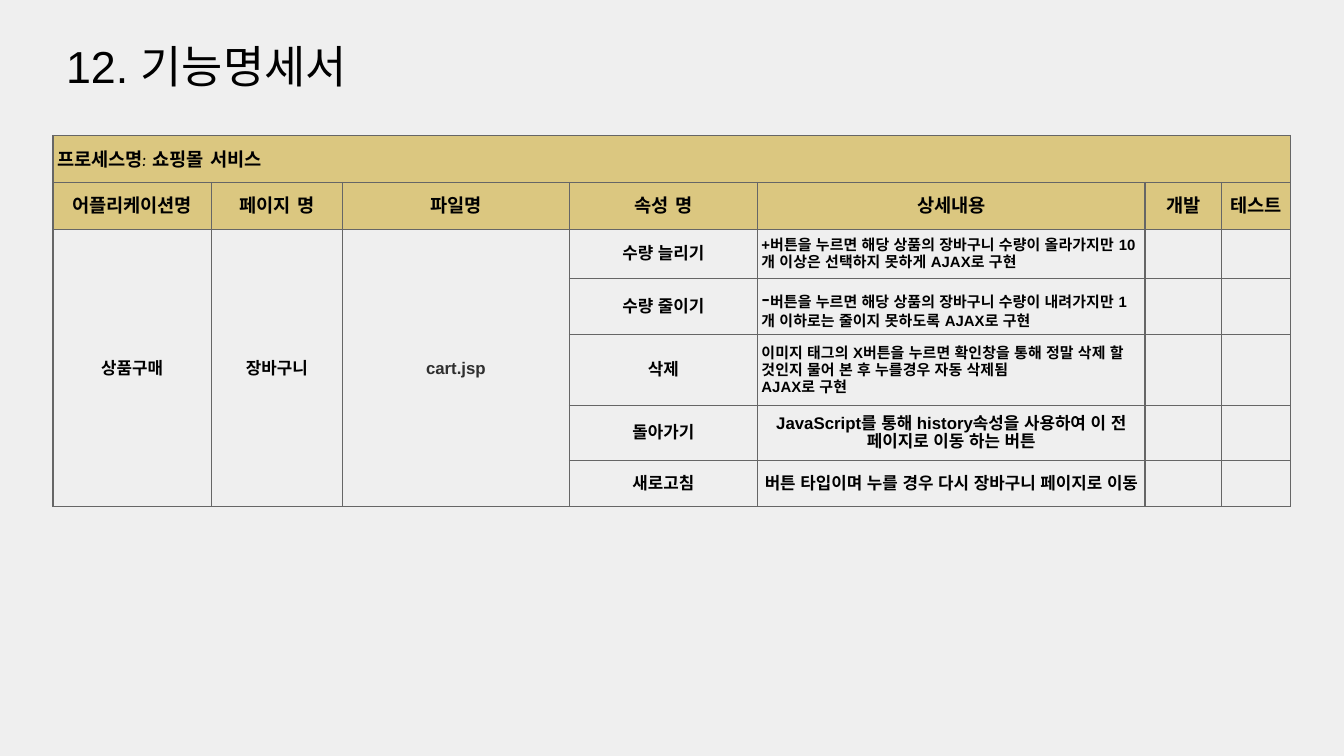
from lxml import etree
from pptx import Presentation
from pptx.dml.color import RGBColor
from pptx.enum.text import MSO_ANCHOR, PP_ALIGN
from pptx.oxml.ns import qn
from pptx.util import Cm, Pt

MID = MSO_ANCHOR.MIDDLE
LEFT, CENTER = PP_ALIGN.LEFT, PP_ALIGN.CENTER
SANS, COMIC = "Arial", "Comic Neue"
BLACK, DARK, GRAY, GOLD, PAPER = "000000", "2F2F2F", "666666", "D1B347", "EFEFEF"

TITLE = "12. 기능명세서"
BANNER = "프로세스명: 쇼핑몰 서비스"
HEADS = ["어플리케이션명", "페이지 명", "파일명", "속성 명", "상세내용", "개발", "테스트"]
GROUPS = [("상품구매", BLACK), ("장바구니", BLACK), ("cart.jsp", DARK)]
ITEMS = [
    ("수량 늘리기", LEFT, [[
        ("+버튼을 누르면 해당 상품의 장바구니 수량이 올라가지만 10개 이상은 선택하지 못하게 AJAX로 구현", 8, True)]]),
    ("수량 줄이기", LEFT, [[
        ("-", 14, False),
        ("버튼을 누르면 해당 상품의 장바구니 수량이 내려가지만 1개 이하로는 줄이지 못하도록 AJAX로 구현", 8, True)]]),
    ("삭제", LEFT, [
        [("이미지 태그의 X버튼을 누르면 확인창을 통해 정말 삭제 할 것인지 물어 본 후 누를경우 자동 삭제됨", 8, True)],
        [("AJAX로 구현", 8, True)]]),
    ("돌아가기", CENTER, [[
        ("JavaScript를 통해 history속성을 사용하여 이 전 페이지로 이동 하는 버튼", 9, True)]]),
    ("새로고침", CENTER, [[
        ("버튼 타입이며 누를 경우 다시 장바구니 페이지로 이동", 9, True)]]),
]
COLS = [2.99, 2.48, 4.29, 3.55, 7.33, 1.45, 1.3]
ROWS = [0.89, 0.89, 0.92, 1.07, 1.33, 1.04, 0.88]


def rgb(code):
    return RGBColor.from_string(code)


def write(frame, paras, align=LEFT, face=SANS, color=BLACK):
    for i, runs in enumerate(paras):
        para = frame.paragraphs[0] if i == 0 else frame.add_paragraph()
        para.alignment = align
        for text, size, bold in runs:
            run = para.add_run()
            run.text = text
            font = run.font
            font.name, font.size, font.bold = face, Pt(size), bold
            font.color.rgb = rgb(color)
            etree.SubElement(run._r.get_or_add_rPr(), qn("a:ea"), typeface=face)


def style(cell, gold):
    cell.vertical_anchor = MID
    cell.margin_left = cell.margin_right = Cm(0.08)
    cell.margin_top = cell.margin_bottom = Cm(0.05)
    props = cell._tc.get_or_add_tcPr()
    for side in ("lnL", "lnR", "lnT", "lnB"):
        line = etree.SubElement(props, qn("a:" + side), w=str(Pt(0.75)))
        fill = etree.SubElement(line, qn("a:solidFill"))
        etree.SubElement(fill, qn("a:srgbClr"), val=GRAY)
    if gold:
        cell.fill.solid()
        cell.fill.fore_color.rgb = rgb(GOLD)
        tint = props.find(qn("a:solidFill")).find(qn("a:srgbClr"))
        etree.SubElement(tint, qn("a:alpha"), val="66000")
    else:
        cell.fill.background()


deck = Presentation()
deck.slide_width, deck.slide_height = Cm(25.4), Cm(14.29)
slide = deck.slides.add_slide(deck.slide_layouts[6])
slide.background.fill.solid()
slide.background.fill.fore_color.rgb = rgb(PAPER)

box = slide.shapes.add_textbox(Cm(1), Cm(0.48), Cm(11.15), Cm(1.5))
frame = box.text_frame
frame.word_wrap = True
frame.margin_left = frame.margin_right = Cm(0.25)
frame.margin_top = frame.margin_bottom = Cm(0.25)
write(frame, [[(TITLE, 24, False)]])

grid = slide.shapes.add_table(
    len(ROWS), len(COLS), Cm(1), Cm(2.56), Cm(sum(COLS)), Cm(sum(ROWS))).table
grid.first_row = grid.horz_banding = False
for col, width in zip(grid.columns, COLS):
    col.width = Cm(width)
for r, (row, height) in enumerate(zip(grid.rows, ROWS)):
    row.height = Cm(height)
    for cell in row.cells:
        style(cell, r < 2)

top = grid.cell(0, 0)
top.merge(grid.cell(0, len(COLS) - 1))
write(top.text_frame, [[(BANNER, 10, True)]], face=COMIC)
top.text_frame.paragraphs[0].line_spacing = 1.15

for c, head in enumerate(HEADS):
    write(grid.cell(1, c).text_frame, [[(head, 10, True)]], CENTER, COMIC)

for c, (name, color) in enumerate(GROUPS):
    cell = grid.cell(2, c)
    cell.merge(grid.cell(len(ROWS) - 1, c))
    write(cell.text_frame, [[(name, 9, True)]], CENTER, color=color)

for r, (name, align, paras) in enumerate(ITEMS, 2):
    write(grid.cell(r, 3).text_frame, [[(name, 9, True)]], CENTER)
    write(grid.cell(r, 4).text_frame, paras, align)

deck.save("out.pptx")
